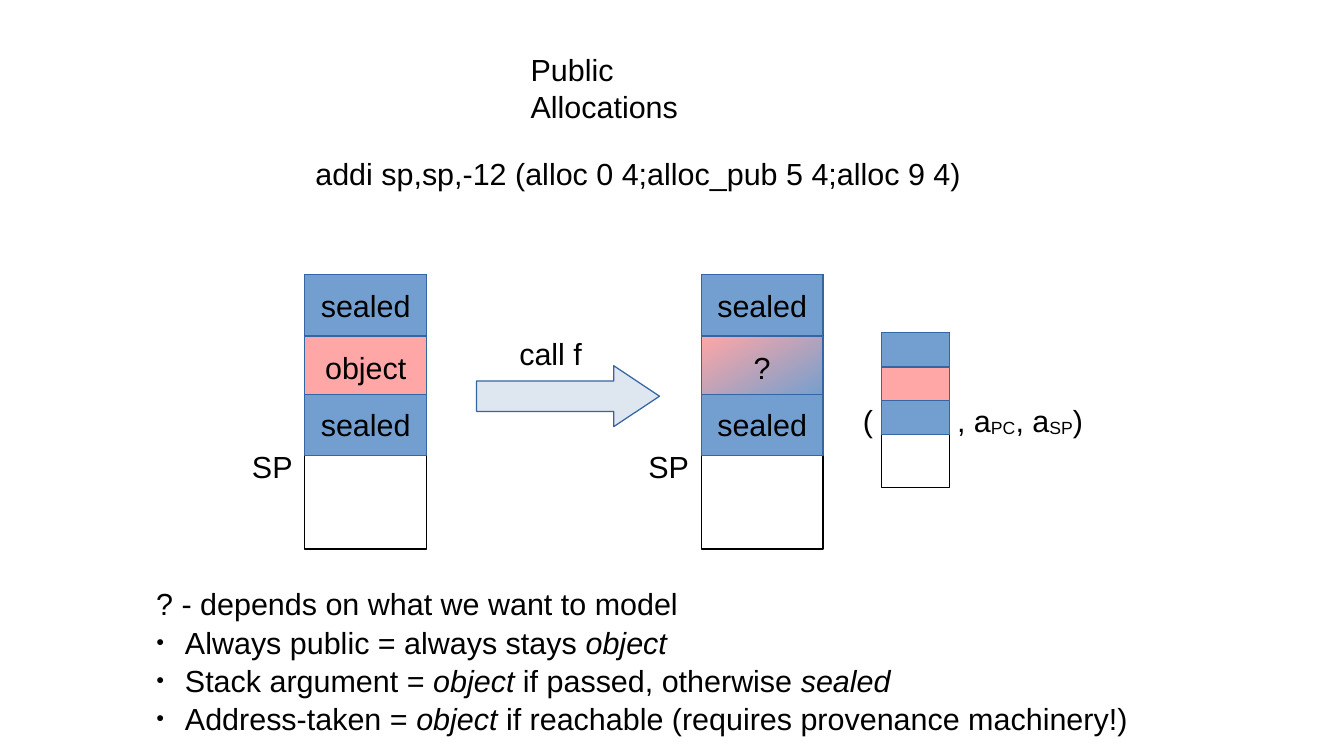
from lxml import etree
from pptx import Presentation
from pptx import util as u
from pptx.dml.color import RGBColor
from pptx.enum import shapes, text
from pptx.oxml import ns

COLORS = {"ink": "000000", "paper": "FFFFFF", "edge": "3465A4",
          "sealed": "729FCF", "object": "FFA6A6", "arrow": "DEE6EF"}
FONT, SIZE = "Arial", u.Pt(18)
CELL_TOPS, CELL_HEIGHT = (0, 0.227, 0.436), 0.222


def color(name):
    """Return the named colour of the slide."""
    return RGBColor.from_string(COLORS[name])


def style_font(paragraph):
    """Apply the common font to a paragraph."""
    paragraph.font.name = FONT
    paragraph.font.size = SIZE
    paragraph.font.color.rgb = color("ink")


def set_frame(shape, wrap=False):
    """Anchor the text at the top left without resizing it."""
    frame = shape.text_frame
    frame.word_wrap = wrap
    frame.auto_size = text.MSO_AUTO_SIZE.NONE
    frame.vertical_anchor = text.MSO_ANCHOR.TOP
    return frame


def place(shape, left, top, width, height):
    """Move a placeholder to the given box in centimetres."""
    shape.left, shape.top = u.Cm(left), u.Cm(top)
    shape.width, shape.height = u.Cm(width), u.Cm(height)


def add_label(slide, left, top, width, *parts):
    """Add one line of text whose odd parts are subscripts."""
    box = slide.shapes.add_textbox(u.Cm(left), u.Cm(top), u.Cm(width), u.Cm(0.97))
    paragraph = set_frame(box).paragraphs[0]
    style_font(paragraph)
    for index, part in enumerate(parts):
        run = paragraph.add_run()
        run.text = part
        if index % 2:
            run.font._element.set("baseline", "-8000")


def add_block(slide, kind, left, top, width, height, fill, line="edge"):
    """Add a filled shape with a hairline edge."""
    shape = slide.shapes.add_shape(kind, u.Cm(left), u.Cm(top), u.Cm(width), u.Cm(height))
    shape.shadow.inherit = False
    shape.line.color.rgb = color(line)
    shape.line.width = u.Pt(0)
    if isinstance(fill, tuple):
        shape.fill.gradient()
        shape.fill.gradient_angle = 300
        for stop, name in zip(shape.fill.gradient_stops, fill):
            stop.color.rgb = color(name)
    else:
        shape.fill.solid()
        shape.fill.fore_color.rgb = color(fill)
    return shape


def add_stack(slide, left, top, width, height, middle="object", labels=()):
    """Draw a stack of three cells above free memory."""
    rectangle = shapes.MSO_SHAPE.RECTANGLE
    add_block(slide, rectangle, left, top, width, height, "paper", "ink")
    cells = [add_block(slide, rectangle, left, top + offset * height, width,
                       CELL_HEIGHT * height, fill)
             for offset, fill in zip(CELL_TOPS, ("sealed", middle, "sealed"))]
    for cell, label in zip(cells, labels):
        cell.text_frame.text = label
        paragraph = cell.text_frame.paragraphs[0]
        paragraph.alignment = text.PP_ALIGN.CENTER
        style_font(paragraph)
    if labels:
        add_label(slide, left - 1.35, top + 0.61 * height, 1.35, "SP")


def add_call(slide, left, top, width, height):
    """Draw the call arrow with its label above."""
    arrow = add_block(slide, shapes.MSO_SHAPE.RIGHT_ARROW, left, top, width, height, "arrow")
    arrow.adjustments[0], arrow.adjustments[1] = 0.5, 0.75
    add_label(slide, left + 0.64, top - 0.76, 1.8, "call f")


def add_tuple(slide, left, top, width, height):
    """Draw the small stack inside its tuple notation."""
    add_stack(slide, left, top, width, height)
    add_label(slide, left - 0.63, top + 1.32, 0.7, "(")
    add_label(slide, left + width - 0.09, top + 1.32, 3.3, ", a", "PC", ", a", "SP", ")")


def set_bullet(paragraph, bulleted):
    """Set the indent and a small round bullet, or neither."""
    properties = paragraph._p.get_or_add_pPr()
    indent = u.Cm(0.6) if bulleted else 0
    properties.set("marL", str(indent))
    properties.set("indent", str(-indent))
    if not bulleted:
        etree.SubElement(properties, ns.qn("a:buNone"))
        return
    tint = etree.SubElement(properties, ns.qn("a:buClr"))
    etree.SubElement(tint, ns.qn("a:srgbClr"), val=COLORS["ink"])
    etree.SubElement(properties, ns.qn("a:buSzPct"), val="45000")
    etree.SubElement(properties, ns.qn("a:buFont"), typeface=FONT)
    etree.SubElement(properties, ns.qn("a:buChar"), char="●")


def fill_title(title, left, top, width, height):
    """Write the slide title."""
    place(title, left, top, width, height)
    paragraph = set_frame(title).paragraphs[0]
    paragraph.text = "Public Allocations"
    paragraph.alignment = text.PP_ALIGN.LEFT
    style_font(paragraph)


def fill_notes_on_model(body, left, top, width, height):
    """Write the list of models, with odd parts in italics."""
    lines = [("? - depends on what we want to model",),
             ("Always public = always stays ", "object"),
             ("Stack argument = ", "object", " if passed, otherwise ", "sealed"),
             ("Address-taken = ", "object", " if reachable (requires provenance machinery!)")]
    place(body, left, top, width, height)
    frame = set_frame(body, wrap=True)
    for number, parts in enumerate(lines):
        paragraph = frame.paragraphs[0] if number == 0 else frame.add_paragraph()
        paragraph.space_before = u.Pt(0.9 if number else 0)
        set_bullet(paragraph, number > 0)
        style_font(paragraph)
        for index, part in enumerate(parts):
            run = paragraph.add_run()
            run.text = part
            if index % 2:
                run.font.italic = True


def main():
    """Build and save the slide."""
    presentation = Presentation()
    presentation.slide_width, presentation.slide_height = u.Cm(28), u.Cm(15.75)
    slide = presentation.slides.add_slide(presentation.slide_layouts[1])
    fill_title(slide.shapes.title, 10.8, 0.94, 5.44, 0.97)
    fill_notes_on_model(slide.placeholders[1], 3, 12.07, 20.75, 3.1)
    add_label(slide, 6.32, 3.1, 13.97, "addi sp,sp,-12 (alloc 0 4;alloc_pub 5 4;alloc 9 4)")
    add_stack(slide, 6.35, 5.72, 2.54, 5.72, labels=("sealed", "object", "sealed"))
    add_call(slide, 9.93, 7.62, 3.81, 1.27)
    add_stack(slide, 14.61, 5.72, 2.54, 5.72, ("object", "sealed"), ("sealed", "?", "sealed"))
    add_tuple(slide, 18.36, 6.93, 1.42, 3.23)
    presentation.save("out.pptx")


if __name__ == "__main__":
    main()
